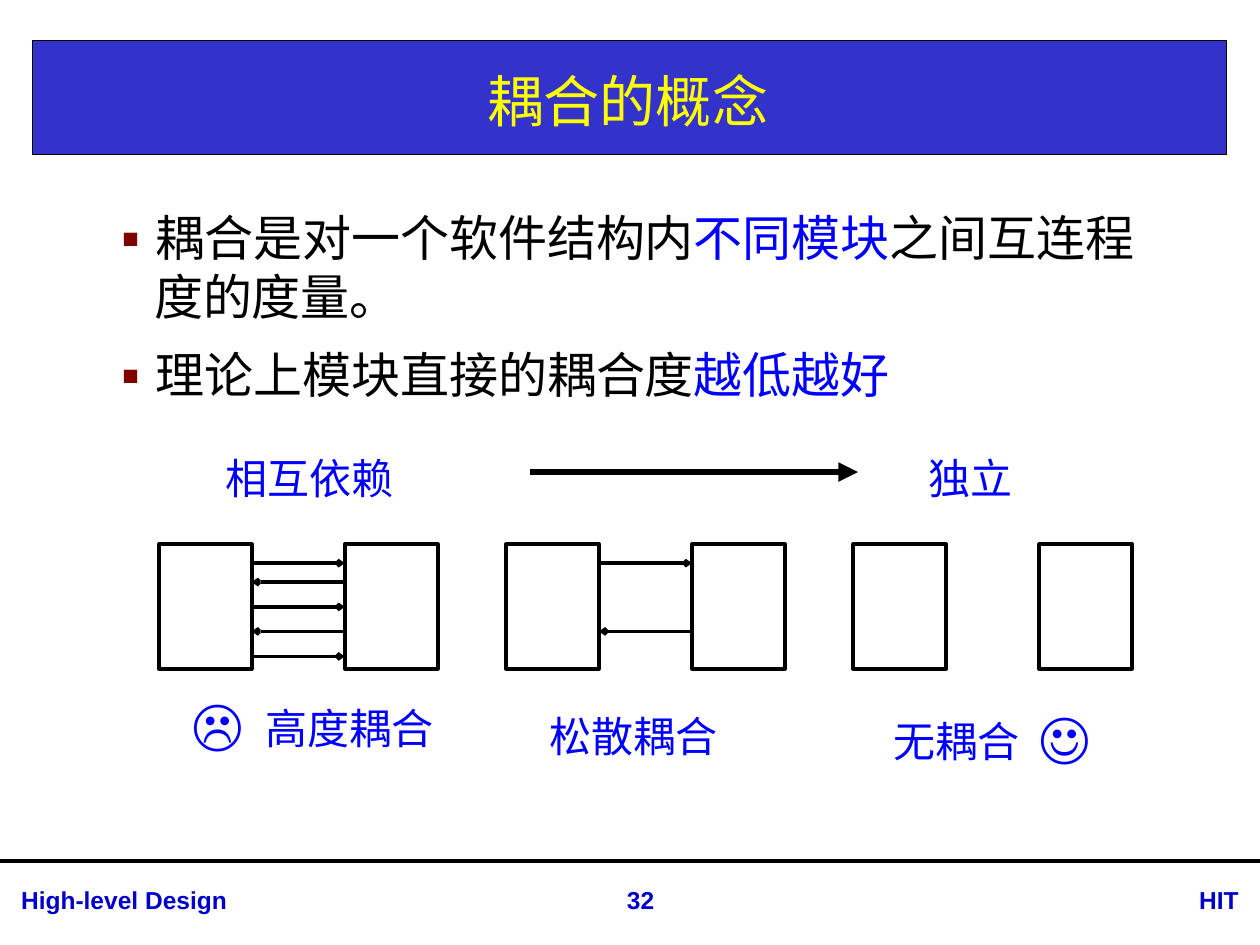
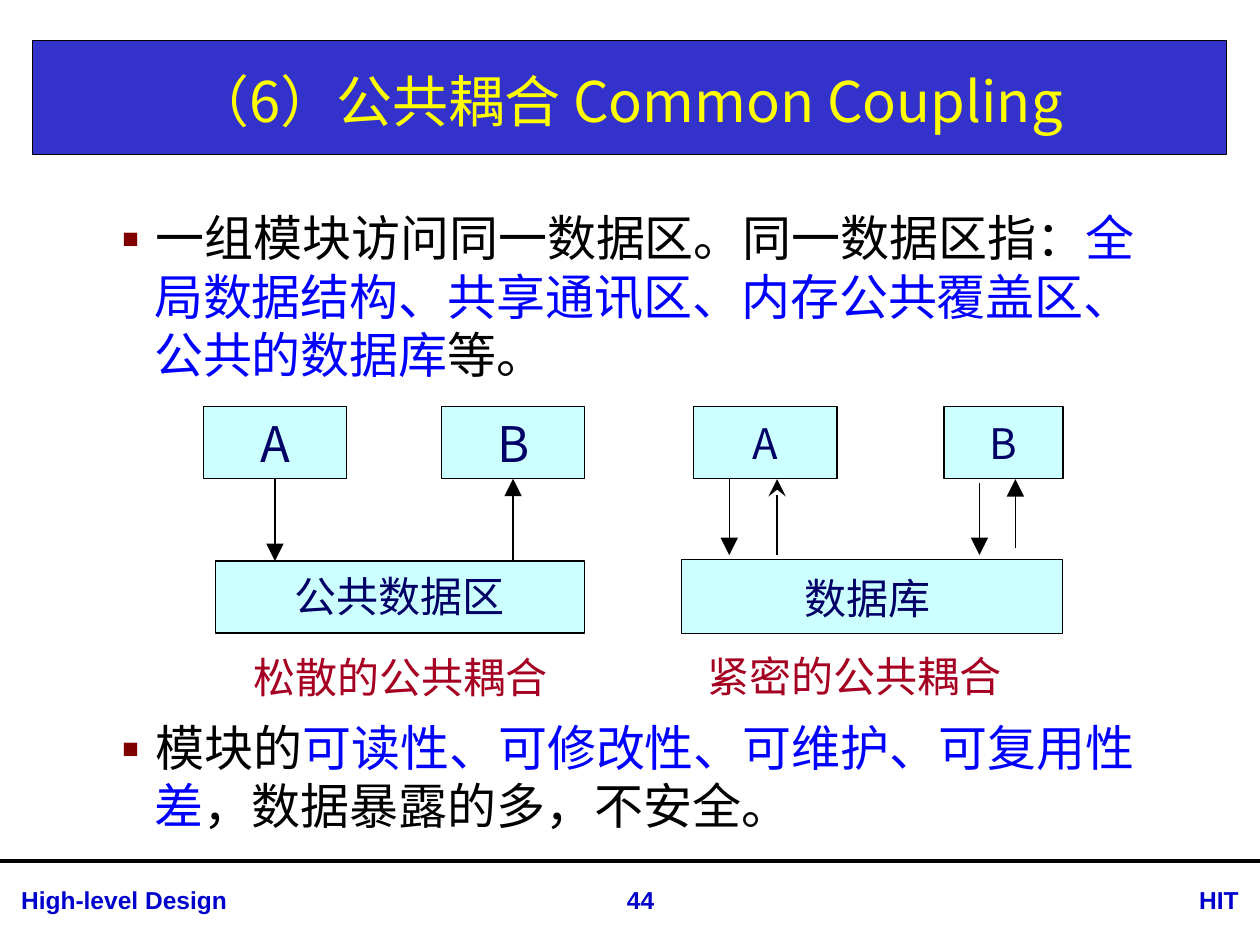
import lxml.etree
import pptx
import pptx.dml.color
import pptx.enum.shapes
import pptx.enum.text
import pptx.oxml
import pptx.oxml.ns
import pptx.util

Pt = pptx.util.Pt
Align = pptx.enum.text.PP_ALIGN
RECTANGLE = pptx.enum.shapes.MSO_SHAPE.RECTANGLE

theme = {
    "font": "Noto Sans CJK SC",
    "footer_font": "Arial",
    "black": "000000",
    "white": "FFFFFF",
    "band": "3333CC",
    "title": "FFFF00",
    "footer": "0000CC",
    "accent": "0000FF",
    "bullet": "800000",
    "module": "CCFFFF",
    "module_text": "000066",
    "caption": "A50021",
    "title_size": 32,
    "body_size": 28,
    "label_size": 24,
    "footer_size": 14,
}


def write_text(shape, paragraphs, size, alignment=Align.CENTER, wrap=True, **font_format):
    frame = shape.text_frame
    frame_format = {
        "word_wrap": wrap,
        "auto_size": pptx.enum.text.MSO_AUTO_SIZE.NONE,
        "vertical_anchor": pptx.enum.text.MSO_ANCHOR.MIDDLE,
        "margin_top": 0,
        "margin_bottom": 0,
    }
    for name, value in frame_format.items():
        setattr(frame, name, value)
    for index, runs in enumerate(paragraphs):
        paragraph = frame.add_paragraph() if index else frame.paragraphs[0]
        paragraph.alignment = alignment
        for text, color, *own_size in runs:
            run = paragraph.add_run()
            run.text = text
            values = {"name": theme["font"], "size": Pt(own_size[0] if own_size else size)}
            values.update(font_format)
            for name, value in values.items():
                setattr(run.font, name, value)
            run.font.color.rgb = pptx.dml.color.RGBColor.from_string(theme[color])
            east_asian = pptx.oxml.ns.qn("a:ea")
            run.font.fill
            lxml.etree.SubElement(run.font._element, east_asian, typeface=values["name"])


def add_line(slide, start, end, width, arrow=None, arrow_size="med", arrow_end="tailEnd"):
    line = slide.shapes.add_connector(
        pptx.enum.shapes.MSO_CONNECTOR.STRAIGHT, *map(Pt, start + end))
    line.line.width = Pt(width)
    line.line.color.rgb = pptx.dml.color.RGBColor.from_string(theme["black"])
    if arrow:
        lxml.etree.SubElement(line.line._get_or_add_ln(), pptx.oxml.ns.qn("a:" + arrow_end),
                              type=arrow, w=arrow_size, len=arrow_size)
    lxml.etree.SubElement(line.element.spPr, pptx.oxml.ns.qn("a:effectLst"))


presentation = pptx.Presentation()
presentation.slide_width, presentation.slide_height = Pt(720), Pt(540)

pages = [
    {
        "title": "耦合的概念",
        "number": "32",
        "body_height": 340.5,
        "bullet_gap": 11.7,
        "body": [
            [("耦合是对一个软件结构内", "black"), ("不同模块", "accent"),
             ("之间互连程度的度量。", "black")],
            [("理论上模块直接的耦合度", "black"), ("越低越好", "accent")],
        ],
        "boxes": [
            (left + offset, 311, 53.2, 71.2, "", 24, "white", 2)
            for left in (90.7, 289.1, 487.5) for offset in (0, 106.3)
        ],
        "labels": [
            ([("相互依赖", "accent")], 121.7, 252, 178.6, 42, Align.LEFT, None),
            ([("独立", "accent")], 490.3, 253, 128, 40, Align.CENTER, None),
            ([("☹\t", "accent", 32), ("高度耦合", "accent")],
             102.5, 389, 184, 47, Align.LEFT, 42),
            ([("松散耦合", "accent")], 286.6, 402.5, 150.5, 36, Align.CENTER, None),
            ([("无耦合\t", "accent"), ("☺", "accent", 32)],
             503.5, 396.7, 140, 47, Align.LEFT, 83),
        ],
        "lines": [((303.1, 269.8), (490.3, 269.8), 3.75, "triangle")] + [
            ((left if forward else left + 53.1, y), (left + 53.1 if forward else left, y),
             2, "arrow", "sm")
            for left, y, forward in (
                (143.9, 321.8, True), (143.9, 332.6, False), (143.9, 346.8, True),
                (143.9, 360.8, False), (143.9, 375.1, True),
                (342.3, 321.8, True), (342.3, 360.8, False))
        ],
    },
    {
        "title": "（6）公共耦合 Common Coupling",
        "number": "44",
        "body_height": 370,
        "bullet_gap": 191.2,
        "body": [
            [("一组模块访问同一数据区。同一数据区指：", "black"),
             ("全局数据结构、共享通讯区、内存公共覆盖区、公共的数据库", "accent"),
             ("等。", "black")],
            [("模块的", "black"), ("可读性、可修改性、可维护、可复用性差", "accent"),
             ("，数据暴露的多，不安全。", "black")],
        ],
        "boxes": [
            (116.4, 232.5, 81.7, 41, "A", 28, "module", 0.75),
            (252.5, 232.5, 81.7, 41, "B", 28, "module", 0.75),
            (396.4, 232.5, 81.9, 41, "A", 24, "module", 0.75),
            (539.5, 232.5, 68, 41, "B", 24, "module", 0.75),
            (123.1, 320.5, 211, 41.2, "", 24, "module", 0.75),
            (389.5, 319.6, 217.6, 42.3, "", 24, "module", 0.75),
        ],
        "labels": [
            ([("公共数据区", "module_text")], 136, 322.6, 184.3, 36, Align.CENTER, None),
            ([("松散的公共耦合", "caption")], 123.1, 368.6, 211, 36, Align.CENTER, None),
            ([("数据库", "module_text")], 416.9, 323.3, 157.7, 36, Align.CENTER, None),
            ([("紧密的公共耦合", "caption")], 397.4, 368, 230.4, 36, Align.LEFT, None),
        ],
        "lines": [
            ((157.1, 273.6), (157.1, 320.6), 0.75, "triangle", "lg"),
            ((293.2, 320.6), (293.2, 273.6), 0.75, "triangle", "lg"),
            ((416.7, 267.8), (416.7, 317.2), 0.75, "triangle", "lg"),
            ((444.1, 273.8), (444.1, 317.2), 0.75, "stealth", "lg", "headEnd"),
            ((559.7, 276), (559.7, 317.2), 0.75, "triangle", "lg"),
            ((580.2, 313.4), (580.2, 273.8), 0.75, "triangle", "lg"),
        ],
    },
]

for page in pages:
    slide = presentation.slides.add_slide(presentation.slide_layouts[5])
    title = slide.shapes.title
    title_format = {"left": Pt(18.7), "top": Pt(26), "width": Pt(680.5), "height": Pt(62.5)}
    for name, value in title_format.items():
        setattr(title, name, value)
    write_text(title, [[(page["title"], "title")]], theme["title_size"])

    add_line(slide, (0, 491.8), (720, 491.8), 2.25)
    for text, left, width, alignment in (
            ("High-level Design", 5, 277, Align.LEFT),
            ("HIT", 640.8, 74.2, Align.RIGHT),
            (page["number"], 329, 74.2, Align.CENTER)):
        footer = slide.shapes.add_textbox(Pt(left), Pt(502), Pt(width), Pt(24.5))
        write_text(footer, [[(text, "footer")]], theme["footer_size"], alignment,
                   name=theme["footer_font"], bold=True)

    body = slide.shapes.add_textbox(Pt(54), Pt(115.3), Pt(623.5), Pt(page["body_height"]))
    write_text(body, page["body"], theme["body_size"], Align.LEFT)
    body.text_frame.vertical_anchor = pptx.enum.text.MSO_ANCHOR.TOP
    body.text_frame.margin_top = Pt(3.6)
    for index, paragraph in enumerate(body.text_frame.paragraphs):
        paragraph.line_spacing = Pt(33.4)
        if index:
            paragraph.space_before = Pt(page["bullet_gap"])
        properties = paragraph._p.get_or_add_pPr()
        properties.set("marL", str(Pt(27)))
        properties.set("indent", str(Pt(-27)))
        color = lxml.etree.SubElement(properties, pptx.oxml.ns.qn("a:buClr"))
        lxml.etree.SubElement(color, pptx.oxml.ns.qn("a:srgbClr"), val=theme["bullet"])
        lxml.etree.SubElement(properties, pptx.oxml.ns.qn("a:buFont"), typeface=theme["font"])
        lxml.etree.SubElement(properties, pptx.oxml.ns.qn("a:buChar"), char="▪")

    for line in page["lines"]:
        add_line(slide, *line)

    band = (18.7, 23, 682, 65.5, "", 24, "band", 0.75)
    for left, top, width, height, text, size, fill, border in [band] + page["boxes"]:
        box = slide.shapes.add_shape(RECTANGLE, Pt(left), Pt(top), Pt(width), Pt(height))
        box.shadow.inherit = False
        box.fill.solid()
        box.fill.fore_color.rgb = pptx.dml.color.RGBColor.from_string(theme[fill])
        box.line.color.rgb = pptx.dml.color.RGBColor.from_string(theme["black"])
        box.line.width = Pt(border)
        if text:
            write_text(box, [[(text, "module_text")]], size, wrap=False)
        if fill == "band":
            title.element.addprevious(box.element)

    for runs, left, top, width, height, alignment, tab in page["labels"]:
        label = slide.shapes.add_textbox(Pt(left), Pt(top), Pt(width), Pt(height))
        write_text(label, [runs], theme["label_size"], alignment)
        if tab:
            properties = label.text_frame.paragraphs[0]._p.get_or_add_pPr()
            tabs = lxml.etree.SubElement(properties, pptx.oxml.ns.qn("a:tabLst"))
            lxml.etree.SubElement(tabs, pptx.oxml.ns.qn("a:tab"), pos=str(Pt(tab)), algn="l")

presentation.save("out.pptx")
